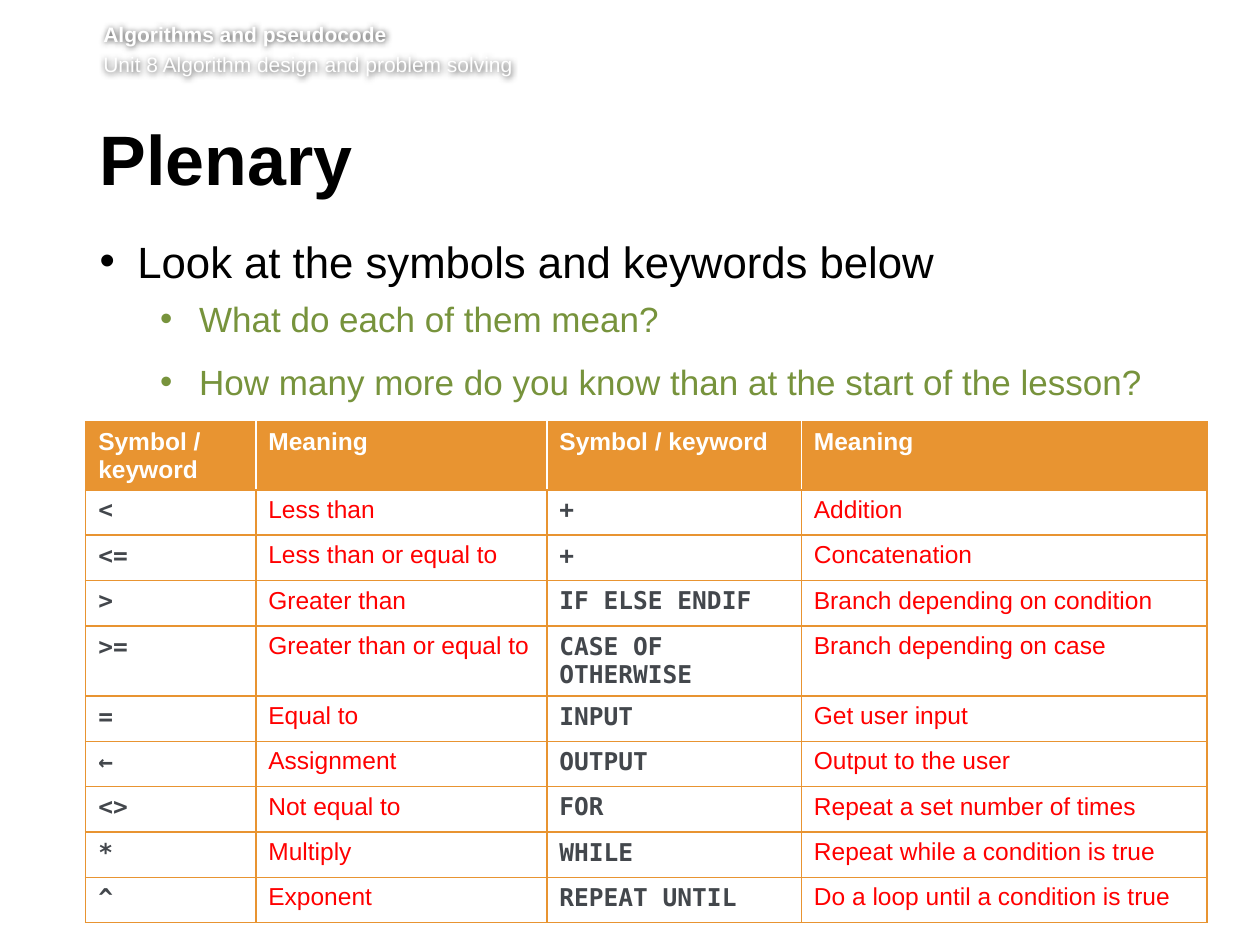
import dataclasses
import typing

import pptx
import pptx.dml.color
import pptx.enum.text
import pptx.oxml
import pptx.oxml.ns
import pptx.util

Inches, Pt = pptx.util.Inches, pptx.util.Pt


@dataclasses.dataclass(frozen=True)
class Theme:
    sans: str = "Arial"
    mono: str = "DejaVu Sans Mono"
    black: str = "000000"
    white: str = "FFFFFF"
    green: str = "77933C"
    orange: str = "E89431"
    code: str = "43474C"
    red: str = "FF0000"
    shadow: str = "404040"
    banner_size: float = 12
    title_size: float = 40
    list_size: float = 25
    sublist_size: float = 20
    table_size: float = 14


class Style(typing.NamedTuple):
    font: str
    size: float
    color: str
    bold: bool = False


class ListItem(typing.NamedTuple):
    text: str
    level: int
    margin: float
    hanging: float
    space_after: float
    style: Style


class Term(typing.NamedTuple):
    symbol: str
    meaning: str


THEME = Theme()
WIDTH, HEIGHT = 10, 7.5
LEFT = 0.79  # shared left edge of title and list
COLUMNS = (1.35, 2.31, 2.02, 3.22)
ROW = 0.36

BANNER = (
    ("Algorithms and pseudocode", True),
    ("Unit 8 Algorithm design and problem solving", False),
)
SUB_STYLE = Style(THEME.sans, THEME.sublist_size, THEME.green)
PROMPTS = (
    ListItem("Look at the symbols and keywords below", 0, 0.3, 0.3, 6,
             Style(THEME.sans, THEME.list_size, THEME.black)),
    ListItem("What do each of them mean?", 1, 0.79, 0.31, 12, SUB_STYLE),
    ListItem("How many more do you know than at the start of the lesson?",
             1, 0.79, 0.31, 12, SUB_STYLE),
)
HEADINGS = Term("Symbol / keyword", "Meaning")
OPERATORS = (
    Term("<", "Less than"),
    Term("<=", "Less than or equal to"),
    Term(">", "Greater than"),
    Term(">=", "Greater than or equal to"),
    Term("=", "Equal to"),
    Term("←", "Assignment"),
    Term("<>", "Not equal to"),
    Term("*", "Multiply"),
    Term("^", "Exponent"),
)
KEYWORDS = (
    Term("+", "Addition"),
    Term("+", "Concatenation"),
    Term("IF ELSE ENDIF", "Branch depending on condition"),
    Term("CASE OF OTHERWISE", "Branch depending on case"),
    Term("INPUT", "Get user input"),
    Term("OUTPUT", "Output to the user"),
    Term("FOR", "Repeat a set number of times"),
    Term("WHILE", "Repeat while a condition is true"),
    Term("REPEAT UNTIL", "Do a loop until a condition is true"),
)


def rgb(color: str) -> pptx.dml.color.RGBColor:
    return pptx.dml.color.RGBColor.from_string(color)


def add_xml(parent, xml: str) -> None:
    """Append an element written with the a: prefix."""
    namespace = pptx.oxml.ns.nsdecls("a")
    tag, rest = xml.split(" ", 1)
    parent.append(pptx.oxml.parse_xml(f"{tag} {namespace} {rest}"))


def style_runs(paragraph, style: Style) -> None:
    for run in paragraph.runs:
        run.font.name = style.font
        run.font.size = Pt(style.size)
        run.font.bold = style.bold
        run.font.color.rgb = rgb(style.color)


def place(shape, left: float, top: float, width: float, height: float) -> None:
    shape.left, shape.top = Inches(left), Inches(top)
    shape.width, shape.height = Inches(width), Inches(height)


def set_frame(frame, top: float, right: float) -> None:
    frame.word_wrap = True
    frame.auto_size = pptx.enum.text.MSO_AUTO_SIZE.NONE
    frame.vertical_anchor = pptx.enum.text.MSO_ANCHOR.TOP
    frame.margin_left, frame.margin_top = 0, Inches(top)
    frame.margin_right, frame.margin_bottom = Inches(right), Inches(0.05)


def draw_banner(slide) -> None:
    banner = slide.shapes.add_textbox(
        Inches(0.82), Inches(0.17), Inches(8.82), Inches(0.49))
    frame = banner.text_frame
    set_frame(frame, 0, 0)
    frame.text = "\n".join(text for text, _ in BANNER)
    for paragraph, (_, bold) in zip(frame.paragraphs, BANNER):
        style_runs(paragraph, Style(THEME.sans, THEME.banner_size, THEME.white, bold))
    frame.paragraphs[1].space_before = Pt(2.9)
    # Soft halo that makes the white text readable
    add_xml(banner.element.spPr,
            '<a:effectLst ><a:outerShdw blurRad="50800" dist="0" dir="0" algn="ctr" '
            f'rotWithShape="0"><a:srgbClr val="{THEME.shadow}"/>'
            '</a:outerShdw></a:effectLst>')


def draw_title(title) -> None:
    place(title, LEFT, 0.99, 8.55, 0.73)
    set_frame(title.text_frame, 0.05, 0.1)
    title.text_frame.text = "Plenary"
    heading = title.text_frame.paragraphs[0]
    heading.alignment = pptx.enum.text.PP_ALIGN.LEFT
    heading.line_spacing, heading.space_after = Pt(39), Pt(15)
    style_runs(heading, Style(THEME.sans, THEME.title_size, THEME.black, True))


def draw_prompts(body) -> None:
    place(body, LEFT, 1.86, 8.53, 3.78)
    frame = body.text_frame
    set_frame(frame, 0, 0.1)
    frame.text = "\n".join(item.text for item in PROMPTS)
    for paragraph, item in zip(frame.paragraphs, PROMPTS):
        paragraph.level = item.level
        properties = paragraph._p.get_or_add_pPr()
        properties.set("marL", str(Inches(item.margin)))
        properties.set("indent", str(-Inches(item.hanging)))
        add_xml(properties, '<a:buFont typeface="Arial"/>')
        add_xml(properties, '<a:buChar char="•"/>')
        paragraph.space_before, paragraph.space_after = Pt(0), Pt(item.space_after)
        style_runs(paragraph, item.style)


def draw_cell(cell, text: str, style: Style, fill: str,
              left: str, right: str) -> None:
    cell.text = text
    style_runs(cell.text_frame.paragraphs[0], style)
    properties = cell._tc.get_or_add_tcPr()
    edges = {"L": left, "R": right, "T": THEME.orange, "B": THEME.orange}
    for side, color in edges.items():
        add_xml(properties, f'<a:ln{side} w="{Pt(1)}"><a:solidFill>'
                            f'<a:srgbClr val="{color}"/></a:solidFill></a:ln{side}>')
    cell.fill.solid()
    cell.fill.fore_color.rgb = rgb(fill)


def draw_terms(slide) -> None:
    rows = [HEADINGS + HEADINGS] + [a + b for a, b in zip(OPERATORS, KEYWORDS)]
    table = slide.shapes.add_table(
        len(rows), len(COLUMNS), Inches(0.68), Inches(3.35),
        Inches(sum(COLUMNS)), Inches(ROW * len(rows))).table
    for column, width in zip(table.columns, COLUMNS):
        column.width = Inches(width)
    header = Style(THEME.sans, THEME.table_size, THEME.white, True)
    symbol = Style(THEME.mono, THEME.table_size, THEME.code, True)
    meaning = Style(THEME.sans, THEME.table_size, THEME.red)
    last = len(COLUMNS) - 1
    for r, row in enumerate(rows):
        table.rows[r].height = Inches(ROW)
        fill, inner = (THEME.white, THEME.orange) if r else (THEME.orange, THEME.white)
        for c, text in enumerate(row):
            style = (symbol, meaning)[c % 2] if r else header
            draw_cell(table.cell(r, c), text, style, fill,
                      inner if c else THEME.orange,
                      inner if c < last else THEME.orange)


def main() -> None:
    deck = pptx.Presentation()
    deck.slide_width, deck.slide_height = Inches(WIDTH), Inches(HEIGHT)
    slide = deck.slides.add_slide(deck.slide_layouts[1])
    draw_banner(slide)
    draw_title(slide.shapes.title)
    draw_prompts(slide.placeholders[1])
    draw_terms(slide)
    deck.save("out.pptx")


if __name__ == "__main__":
    main()
